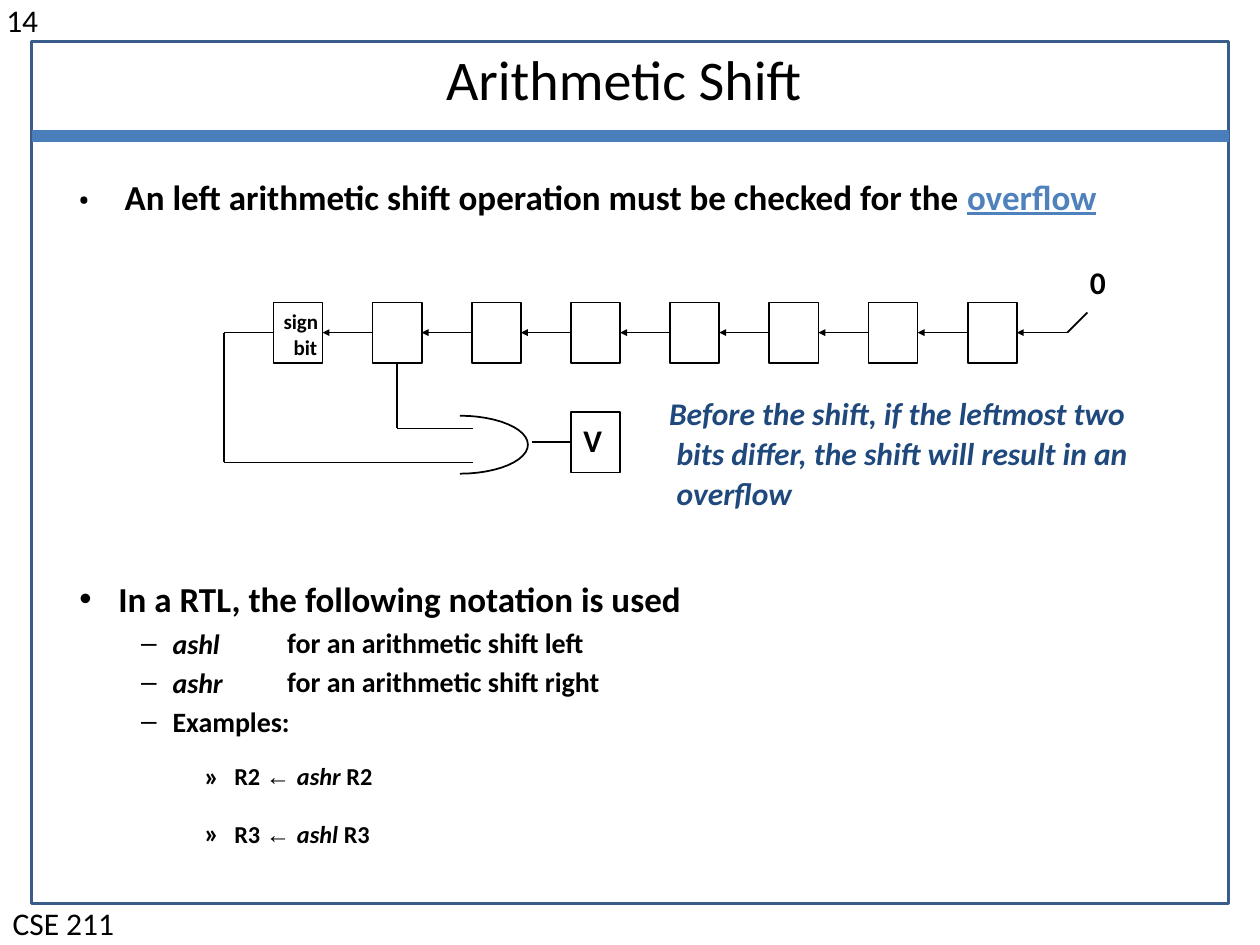
from dataclasses import dataclass
from math import cos, pi, sin

from lxml import etree
from pptx import Presentation
from pptx import util as u
from pptx.dml.color import RGBColor
from pptx.enum import shapes, text
from pptx.oxml import ns

I = u.Inches


@dataclass(frozen=True)
class Theme:
    """Colours, fonts and type sizes of the slide."""
    ink: str = "000000"
    frame: str = "385D8A"
    bar: str = "4A7EBB"
    key: str = "4F81BD"
    note: str = "1F497D"
    font: str = "Calibri"
    arrow: str = "Arial"
    dot: str = "Roboto"
    title: int = 32
    code: int = 24
    head: int = 20
    body: int = 18
    sub: int = 16
    tiny: int = 12


T = Theme()


def sub(node, tag, **attrs):
    """Append one drawing element to an XML node."""
    return etree.SubElement(node, ns.qn(tag), **attrs)


def write(para, words, size=T.body, color=T.ink, font=T.font, bold=False,
          italic=False, under=False, raised=None):
    """Add formatted text to a paragraph, one run for each line."""
    for n, line in enumerate(words.split("\n")):
        if n:
            para.add_line_break()
        run = para.add_run()
        run.text = line
        face = run.font
        face.name, face.size, face.bold = font, u.Pt(size), bold
        face.italic, face.underline = italic, under
        face.color.rgb = RGBColor.from_string(color)
        if raised:
            run._r.get_or_add_rPr().set("baseline", raised)


def fill(frame, paras, top=0.01, left=0, first=0, gap=0, line=None,
         mark=None, **look):
    """Fill a text frame; each paragraph is a list of (words, changes)."""
    frame.word_wrap = True
    frame.vertical_anchor = text.MSO_ANCHOR.TOP
    frame.margin_left = frame.margin_right = frame.margin_bottom = 0
    frame.margin_top = I(top)
    for n, parts in enumerate(paras):
        para = frame.add_paragraph() if n else frame.paragraphs[0]
        para.alignment = text.PP_ALIGN.LEFT
        if n and gap:
            para.space_before = u.Pt(gap)
        if line:
            para.line_spacing = line
        props = para._p.get_or_add_pPr()
        props.set("marL", str(I(left)))
        props.set("indent", str(I(first)))
        if mark:
            sub(props, "a:buFont", typeface=T.arrow)
            sub(props, "a:buChar", char=mark)
        for words, change in parts:
            write(para, words, **{**look, **change})


def label(slide, x, y, w, h, paras, **look):
    """Add a text box."""
    box = slide.shapes.add_textbox(I(x), I(y), I(w), I(h))
    fill(box.text_frame, paras, **look)


def rect(slide, x, y, w, h, color=T.ink, width=1):
    """Add an unfilled outlined rectangle."""
    box = slide.shapes.add_shape(shapes.MSO_SHAPE.RECTANGLE,
                                 I(x), I(y), I(w), I(h))
    box.shadow.inherit = False
    box.fill.background()
    box.line.color.rgb = RGBColor.from_string(color)
    box.line.width = u.Pt(width)
    return box


def wire(slide, a, b, start=None, end=None, color=T.ink, width=1, head=False):
    """Draw a straight line, joined to (shape, side) pairs where given."""
    link = slide.shapes.add_connector(shapes.MSO_CONNECTOR.STRAIGHT,
                                      I(a[0]), I(a[1]), I(b[0]), I(b[1]))
    if start:
        link.begin_connect(*start)
    if end:
        link.end_connect(*end)
    link.line.color.rgb = RGBColor.from_string(color)
    link.line.width = u.Pt(width)
    if head:
        sub(link.line._get_or_add_ln(), "a:tailEnd", type="triangle",
            w="sm", len="sm")
    sub(link._element.spPr, "a:effectLst")


def gate(slide, x, y, rx, ry):
    """Draw the curved nose of the logic gate."""
    turns = [pi * n / 24 - pi / 2 for n in range(25)]
    spots = [(I(x + rx * cos(t)), I(y + ry * sin(t))) for t in turns]
    pen = slide.shapes.build_freeform(*spots[0])
    pen.add_line_segments(spots[1:], close=False)
    nose = pen.convert_to_shape()
    nose.shadow.inherit = False
    nose.fill.background()
    nose.line.color.rgb = RGBColor.from_string(T.ink)
    nose.line.width = u.Pt(1)


def circuit(slide):
    """Draw the shift register and its overflow check."""
    x, y, w, h, count = 2.17, 2.4, 0.39, 0.48, 8
    step = (7.68 - x) / (count - 1)
    mid = y + h / 2
    bits = [rect(slide, x + n * step, y, w, h) for n in range(count)]
    fill(bits[0].text_frame, [[("sign\nbit", {})]], top=0.04, left=0.16,
         first=-0.08, line=1.04, size=T.tiny, bold=True)
    for one, two in zip(bits, bits[1:]):
        wire(slide, (0, 0), (0, 0), (two, 1), (one, 3), head=True)
    wire(slide, (8.47, mid), (8.08, mid), end=(bits[-1], 3), head=True)
    wire(slide, (8.47, mid), (8.63, 2.48))

    wire(slide, (x, mid), (1.78, mid), start=(bits[0], 1))
    wire(slide, (1.78, mid), (1.78, 3.67))
    wire(slide, (1.78, 3.67), (3.75, 3.67))
    tap = x + step + w / 2
    wire(slide, (tap, y + h), (tap, 3.4), start=(bits[1], 2))
    wire(slide, (tap, 3.4), (3.75, 3.4))
    gate(slide, 3.65, 3.53, 0.54, 0.23)
    flag = rect(slide, 4.53, 3.27, w, h)
    fill(flag.text_frame, [[("V", {})]], top=0.07, left=0.1, bold=True)
    level = 3.27 + h / 2
    wire(slide, (4.22, level), (4.53, level), end=(flag, 1))
    label(slide, 8.63, 2.08, 0.15, 0.33, [[("0", {})]], left=0.02, bold=True)


def example(reg, name):
    """Return the runs of one register transfer."""
    big = dict(size=T.code, raised="2000")
    return [("»\t", {}), (f"{reg} ", big),
            ("← ", dict(big, font=T.arrow, bold=False)),
            (f"{name} ", dict(big, italic=True)), (reg, big)]


def main():
    """Build and save the slide."""
    deck = Presentation()
    deck.slide_width, deck.slide_height = I(10), I(7.5)
    slide = deck.slides.add_slide(deck.slide_layouts[6])
    rect(slide, 0.25, 0.33, 9.5, 6.84, T.frame, 2)
    wire(slide, (0.25, 1.08), (9.75, 1.08), color=T.bar, width=6.75)
    label(slide, 0.04, 0, 0.28, 0.33, [[("14", {})]], left=0.01)
    label(slide, 3.53, 0.34, 2.95, 0.56, [[("Arithmetic Shift", {})]],
          left=0.01, size=T.title)
    label(slide, 0.61, 1.41, 0.13, 0.36, [[("•", {})]],
          left=0.01, size=T.head, font=T.dot)
    label(slide, 0.98, 1.38, 7.9, 0.36, [[
        ("An left arithmetic shift operation must be checked for the ", {}),
        ("overflow", dict(color=T.key, under=True))]],
        left=0.01, size=T.head, bold=True)
    circuit(slide)
    label(slide, 5.3, 3.1, 3.8, 0.99, [[(
        "Before the shift, if the leftmost two\n"
        "bits differ, the shift will result in an\noverflow", {})]],
        left=0.07, first=-0.06, line=1.06, color=T.note, bold=True, italic=True)
    label(slide, 0.61, 4.57, 4.9, 0.36,
          [[("In a RTL, the following notation is used", {})]],
          left=0.33, first=-0.31, mark="•", size=T.head, bold=True)
    label(slide, 2.27, 4.91, 2.7, 0.65,
          [[(f"for an arithmetic shift {side}", {})]
           for side in ("left", "right")],
          left=0.01, line=1.17, size=T.sub, bold=True)
    label(slide, 1.11, 4.91, 1.21, 0.96,
          [[("ashl", dict(italic=True))], [("ashr", dict(italic=True))],
           [("Examples:", {})]],
          top=0.06, left=0.26, first=-0.25, gap=3.2, mark="–",
          size=T.sub, bold=True)
    label(slide, 1.61, 5.84, 1.53, 0.67,
          [example("R2", "ashr"), example("R3", "ashl")],
          top=0.07, left=0.25, first=-0.24, gap=3.9, size=T.sub, bold=True)
    label(slide, 0.09, 7.22, 0.84, 0.28, [[("CSE 211", {})]],
          top=0, left=0.01, line=u.Pt(18.1))
    deck.save("out.pptx")


if __name__ == "__main__":
    main()
